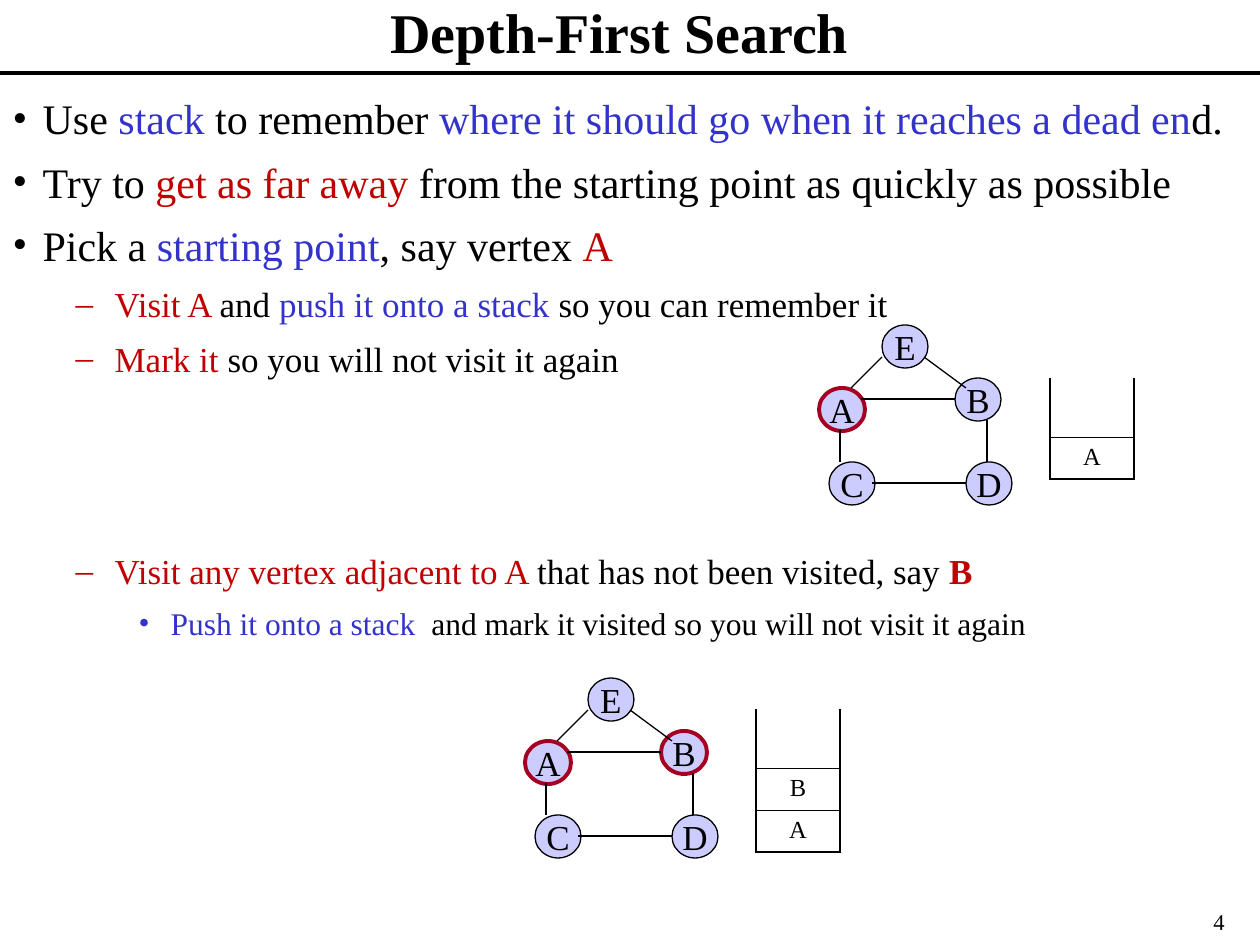
from lxml.etree import SubElement
from pptx import Presentation
from pptx.dml.color import RGBColor
from pptx.enum.shapes import MSO_CONNECTOR, MSO_SHAPE
from pptx.enum.text import MSO_ANCHOR, MSO_AUTO_SIZE, PP_ALIGN
from pptx.oxml.ns import qn
from pptx.util import Emu, Pt

EMU_PER_PX = 914400 / 126
FONT = "Times New Roman"

BLACK = RGBColor(0x00, 0x00, 0x00)
BLUE = RGBColor(0x33, 0x33, 0xCC)
RED = RGBColor(0xC0, 0x00, 0x00)
LILAC = RGBColor(0xCC, 0xCC, 0xFF)
CRIMSON = RGBColor(0xA5, 0x00, 0x21)

# Outline levels: font size, left margin and hanging indent in px
LEVELS = [
    {"size": 24, "margin": 30, "hanging": 30},
    {"size": 20, "margin": 102, "hanging": 39},
    {"size": 18, "margin": 158, "hanging": 32},
]

# Outline items: level, bullet, bullet colour, space before, coloured phrases
STEPS = [
    (0, "•", BLACK, 0, [("Use ", BLACK), ("stack", BLUE), (" to remember ", BLACK),
                        ("where it should go when it reaches a dead en", BLUE),
                        ("d.", BLACK)]),
    (0, "•", BLACK, 6, [("Try to ", BLACK), ("get as far away", RED),
                        (" from the starting point as quickly as possible", BLACK)]),
    (0, "•", BLACK, 6, [("Pick a ", BLACK), ("starting point", BLUE),
                        (", say vertex ", BLACK), ("A", RED)]),
    (1, "–", RED, 6, [("Visit A ", RED), ("and ", BLACK),
                      ("push it onto a stack ", BLUE),
                      ("so you can remember it", BLACK)]),
    (1, "–", RED, 6, [("Mark it ", RED), ("so you will not visit it again", BLACK)]),
    (1, "–", RED, 96, [("Visit any vertex adjacent to A ", RED),
                       ("that has not been visited, say ", BLACK),
                       ("B", RED, True)]),
    (2, "•", BLUE, 6, [("Push it onto a stack  ", BLUE),
                       ("and mark it visited so you will not visit it again", BLACK)]),
]

# Graph layout in px from the graph's top left corner
VERTEX_SIZE = (46, 43)
VERTICES = {"A": (0, 63), "C": (10, 137), "D": (147, 137), "E": (63, 0), "B": (136, 53)}
EDGES = [
    (42, 74, 136, 74),      # A-B
    (147, 158, 53, 158),    # D-C
    (168, 95, 168, 137),    # B-D
    (21, 105, 21, 137),     # A-C
    (32, 63, 63, 32),       # A-E
    (105, 32, 147, 63),     # E-B
]

# Stack cells
STACK_WIDTH, OPEN_HEIGHT, ENTRY_HEIGHT = 84, 59, 42
WALL, DIVIDER = 1.08, 0.45


def px(*lengths):
    return [Emu(round(length * EMU_PER_PX)) for length in lengths]


def set_all(target, values):
    for name, value in values.items():
        setattr(target, name, value)


def add_run(paragraph, text, size, color=BLACK, bold=False):
    run = paragraph.add_run()
    run.text = text
    set_all(run.font, {"name": FONT, "size": Pt(size), "bold": bold})
    run.font.color.rgb = color


def place(shape, left, top, width, height):
    box = px(left, top, width, height)
    set_all(shape, dict(zip(("left", "top", "width", "height"), box)))


def fill_title(title, text):
    place(title, 84, 0, 1071, 63)
    set_all(title.text_frame, {"vertical_anchor": MSO_ANCHOR.MIDDLE,
                               "auto_size": MSO_AUTO_SIZE.NONE})
    paragraph = title.text_frame.paragraphs[0]
    paragraph.alignment = PP_ALIGN.CENTER
    add_run(paragraph, text, 32, bold=True)


def set_bullet(paragraph, mark, color, margin, hanging):
    properties = paragraph._p.get_or_add_pPr()
    left, indent = px(margin, -hanging)
    properties.set("marL", str(left))
    properties.set("indent", str(indent))
    bullet_color = SubElement(properties, qn("a:buClr"))
    SubElement(bullet_color, qn("a:srgbClr")).set("val", str(color))
    SubElement(properties, qn("a:buFont")).set("typeface", FONT)
    SubElement(properties, qn("a:buChar")).set("char", mark)


def fill_outline(body, steps):
    place(body, 0, 84, 1260, 572)
    frame = body.text_frame
    set_all(frame, {"vertical_anchor": MSO_ANCHOR.TOP, "word_wrap": True,
                    "auto_size": MSO_AUTO_SIZE.NONE})
    for index, (level, mark, mark_color, space, phrases) in enumerate(steps):
        paragraph = frame.add_paragraph() if index else frame.paragraphs[0]
        style = LEVELS[level]
        set_all(paragraph, {"level": level, "alignment": PP_ALIGN.LEFT,
                            "line_spacing": 1.05, "space_before": Pt(space)})
        set_bullet(paragraph, mark, mark_color, style["margin"], style["hanging"])
        for text, *look in phrases:
            add_run(paragraph, text, style["size"], *look)


def add_line(slide, start_x, start_y, end_x, end_y, weight=0.75):
    line = slide.shapes.add_connector(
        MSO_CONNECTOR.STRAIGHT, *px(start_x, start_y, end_x, end_y))
    line.line.color.rgb = BLACK
    line.line.width = Pt(weight)
    SubElement(line._element.spPr, qn("a:effectLst"))


def add_vertex(slide, name, left, top, visited):
    vertex = slide.shapes.add_shape(MSO_SHAPE.OVAL, *px(left, top, *VERTEX_SIZE))
    vertex.shadow.inherit = False
    vertex.fill.solid()
    vertex.fill.fore_color.rgb = LILAC
    vertex.line.color.rgb = CRIMSON if visited else BLACK
    vertex.line.width = Pt(2.25 if visited else 0.75)
    set_all(vertex.text_frame, {"word_wrap": False,
                                "vertical_anchor": MSO_ANCHOR.MIDDLE})
    paragraph = vertex.text_frame.paragraphs[0]
    paragraph.alignment = PP_ALIGN.CENTER
    add_run(paragraph, name, 20)


def add_graph(slide, left, top, visited):
    for name, (x, y) in VERTICES.items():
        add_vertex(slide, name, left + x, top + y, name in visited)
    for x1, y1, x2, y2 in EDGES:
        add_line(slide, left + x1, top + y1, left + x2, top + y2)


def set_borders(cell, widths):
    properties = cell._tc.get_or_add_tcPr()
    for side, width in widths.items():
        border = SubElement(properties, qn(f"a:ln{side}"))
        border.set("w", str(Pt(width)))
        if width:
            fill = SubElement(border, qn("a:solidFill"))
            SubElement(fill, qn("a:srgbClr")).set("val", str(BLACK))
        else:
            SubElement(border, qn("a:noFill"))


def add_stack(slide, left, top, entries):
    """Draw a stack that is open at the top, with entries from top to bottom."""
    heights = [OPEN_HEIGHT] + [ENTRY_HEIGHT] * len(entries)
    stack = slide.shapes.add_table(
        len(heights), 1, *px(left, top, STACK_WIDTH, sum(heights))).table
    set_all(stack, {"first_row": False, "horz_banding": False})
    for row, (height, entry) in enumerate(zip(heights, ["", *entries])):
        stack.rows[row].height = px(height)[0]
        cell = stack.cell(row, 0)
        set_borders(cell, {"L": WALL, "R": WALL, "T": DIVIDER if row else 0,
                           "B": WALL if row == len(entries) else DIVIDER})
        cell.fill.background()
        if entry:
            paragraph = cell.text_frame.paragraphs[0]
            paragraph.alignment = PP_ALIGN.CENTER
            add_run(paragraph, entry, 14)


def add_page_number(slide, number):
    frame = slide.shapes.add_textbox(*px(975, 902, 262, 40)).text_frame
    frame.word_wrap = True
    frame.paragraphs[0].alignment = PP_ALIGN.RIGHT
    add_run(frame.paragraphs[0], number, 12.9)


def main():
    deck = Presentation()
    deck.slide_width, deck.slide_height = px(1260, 945)
    slide = deck.slides.add_slide(deck.slide_layouts[1])

    # Heading and outline
    fill_title(slide.shapes.title, "Depth-First Search")
    add_line(slide, 0, 73, 1260, 73, weight=2.25)
    fill_outline(slide.placeholders[1], STEPS)

    # After visiting A
    add_graph(slide, 819, 325, visited="A")
    add_stack(slide, 1050, 378, ["A"])

    # After visiting B
    add_graph(slide, 525, 678, visited="AB")
    add_stack(slide, 756, 709, ["B", "A"])

    add_page_number(slide, "4")
    deck.save("out.pptx")


if __name__ == "__main__":
    main()
